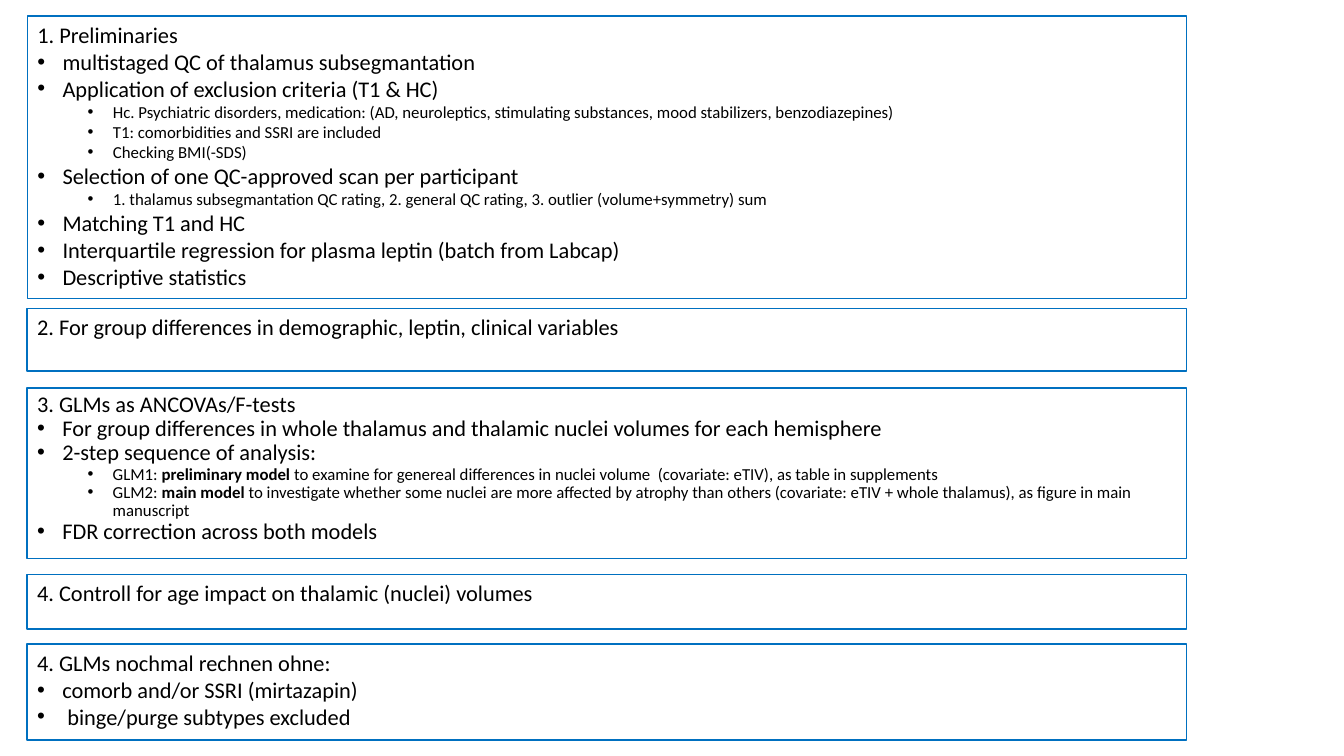
from dataclasses import dataclass

from lxml import etree
from pptx import Presentation
from pptx import util as u
from pptx.dml.color import RGBColor
from pptx.enum import shapes, text
from pptx.oxml.ns import qn
from pptx.shapes.autoshape import Shape
from pptx.slide import Slide
from pptx.text.text import TextFrame

BLACK = RGBColor(0x00, 0x00, 0x00)
BLUE = RGBColor(0x00, 0x70, 0xC0)
FONT = "Calibri"
BOX_LEFT, BOX_WIDTH = u.Inches(0.27), u.Inches(11.5)


@dataclass(frozen=True)
class Line:
    """One paragraph; level 0 is a heading, ** encloses bold words."""
    wording: str
    level: int = 1


@dataclass(frozen=True)
class Box:
    top: float
    height: float
    lines: tuple[Line, ...]
    spacing: float = 1.0


@dataclass(frozen=True)
class LevelStyle:
    size: int
    margin: float
    outline_level: int
    bulleted: bool


LEVELS = (
    LevelStyle(16, 0, 0, False),
    LevelStyle(16, 0.25, 0, True),
    LevelStyle(12, 0.75, 1, True),
)

# Analysis steps
PRELIMINARIES = Box(0.16, 2.8, (
    Line("1. Preliminaries", 0),
    Line("multistaged QC of thalamus subsegmantation"),
    Line("Application of exclusion criteria (T1 & HC)"),
    Line("Hc. Psychiatric disorders, medication: (AD, neuroleptics, stimulating "
         "substances, mood stabilizers, benzodiazepines)", 2),
    Line("T1: comorbidities and SSRI are included", 2),
    Line("Checking BMI(-SDS)", 2),
    Line("Selection of one QC-approved scan per participant"),
    Line("1. thalamus subsegmantation QC rating, 2. general QC rating, "
         "3. outlier (volume+symmetry) sum", 2),
    Line("Matching T1 and HC"),
    Line("Interquartile regression for plasma leptin (batch from Labcap)"),
    Line("Descriptive statistics"),
))
LATER_STEPS = (
    Box(3.06, 0.62, (
        Line("2. For group differences in demographic, leptin, clinical variables", 0),
    )),
    Box(3.85, 1.69, (
        Line("3. GLMs as ANCOVAs/F-tests", 0),
        Line("For group differences in whole thalamus and thalamic nuclei volumes "
             "for each hemisphere"),
        Line("2-step sequence of analysis:"),
        Line("GLM1: **preliminary model **to examine for genereal differences in "
             "nuclei volume  (covariate: eTIV), as table in supplements", 2),
        Line("GLM2: **main model **to investigate whether some nuclei are more "
             "affected by atrophy than others (covariate: eTIV + whole thalamus), "
             "as figure in main manuscript", 2),
        Line("FDR correction across both models"),
    ), spacing=0.9),
    Box(5.7, 0.54, (
        Line("4. Controll for age impact on thalamic (nuclei) volumes", 0),
    )),
    Box(6.39, 0.95, (
        Line("4. GLMs nochmal rechnen ohne:", 0),
        Line("comorb and/or SSRI (mirtazapin)"),
        Line(" binge/purge subtypes excluded"),
    )),
)


def write_paragraph(frame: TextFrame, wording: str, *, first: bool,
                    style: LevelStyle, spacing: float) -> None:
    paragraph = frame.paragraphs[0] if first else frame.add_paragraph()
    paragraph.level = style.outline_level
    paragraph.alignment = text.PP_ALIGN.LEFT
    paragraph.line_spacing = spacing
    paragraph.space_before = paragraph.space_after = u.Pt(0)

    # Indent and bullet
    properties = paragraph._p.get_or_add_pPr()
    properties.set("marL", str(u.Inches(style.margin)))
    properties.set("indent", str(u.Inches(-0.25 if style.bulleted else 0)))
    if style.bulleted:
        etree.SubElement(properties, qn("a:buFont")).set("typeface", "Arial")
        etree.SubElement(properties, qn("a:buChar")).set("char", "•")
    else:
        etree.SubElement(properties, qn("a:buNone"))

    # Every second piece is bold
    for index, piece in enumerate(wording.split("**")):
        run = paragraph.add_run()
        run.text = piece
        run.font.name = FONT
        run.font.size = u.Pt(style.size)
        run.font.bold = index % 2 == 1
        run.font.color.rgb = BLACK


def fill_box(shape: Shape, box: Box) -> None:
    shape.left, shape.width = BOX_LEFT, BOX_WIDTH
    shape.top, shape.height = u.Inches(box.top), u.Inches(box.height)
    shape.shadow.inherit = False
    shape.fill.background()
    shape.line.color.rgb = BLUE
    shape.line.width = u.Pt(1)
    frame = shape.text_frame
    frame.word_wrap = True
    frame.auto_size = text.MSO_AUTO_SIZE.NONE
    frame.vertical_anchor = text.MSO_ANCHOR.TOP
    for index, line in enumerate(box.lines):
        write_paragraph(frame, line.wording, first=index == 0,
                        style=LEVELS[line.level], spacing=box.spacing)


def add_box(slide: Slide, box: Box) -> None:
    shape = slide.shapes.add_shape(
        shapes.MSO_SHAPE.RECTANGLE, BOX_LEFT, u.Inches(box.top),
        BOX_WIDTH, u.Inches(box.height))
    fill_box(shape, box)


presentation = Presentation()
presentation.slide_width = u.Inches(13.33)
presentation.slide_height = u.Inches(7.5)
slide = presentation.slides.add_slide(presentation.slide_layouts[1])

# The slide has a body but no title
title = slide.shapes.title.element
title.getparent().remove(title)
fill_box(slide.placeholders[1], PRELIMINARIES)

for step in LATER_STEPS:
    add_box(slide, step)

presentation.save("out.pptx")
